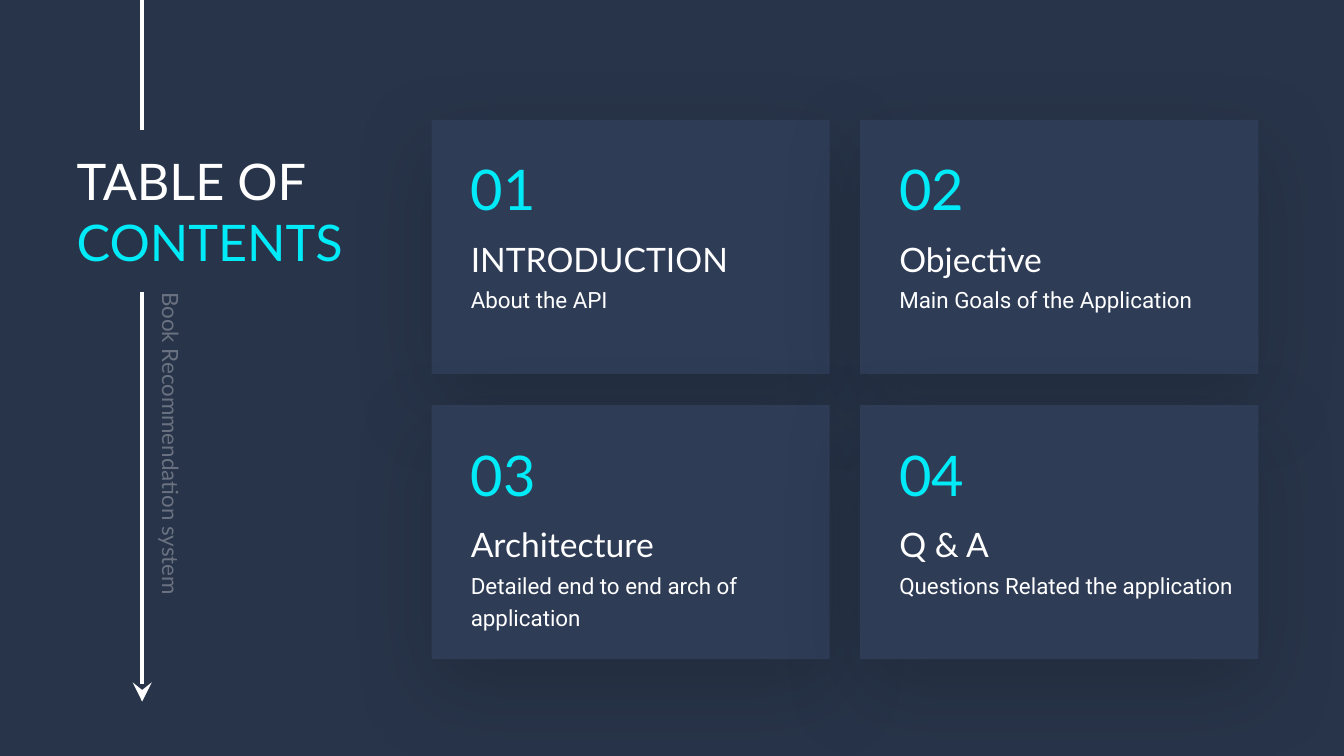
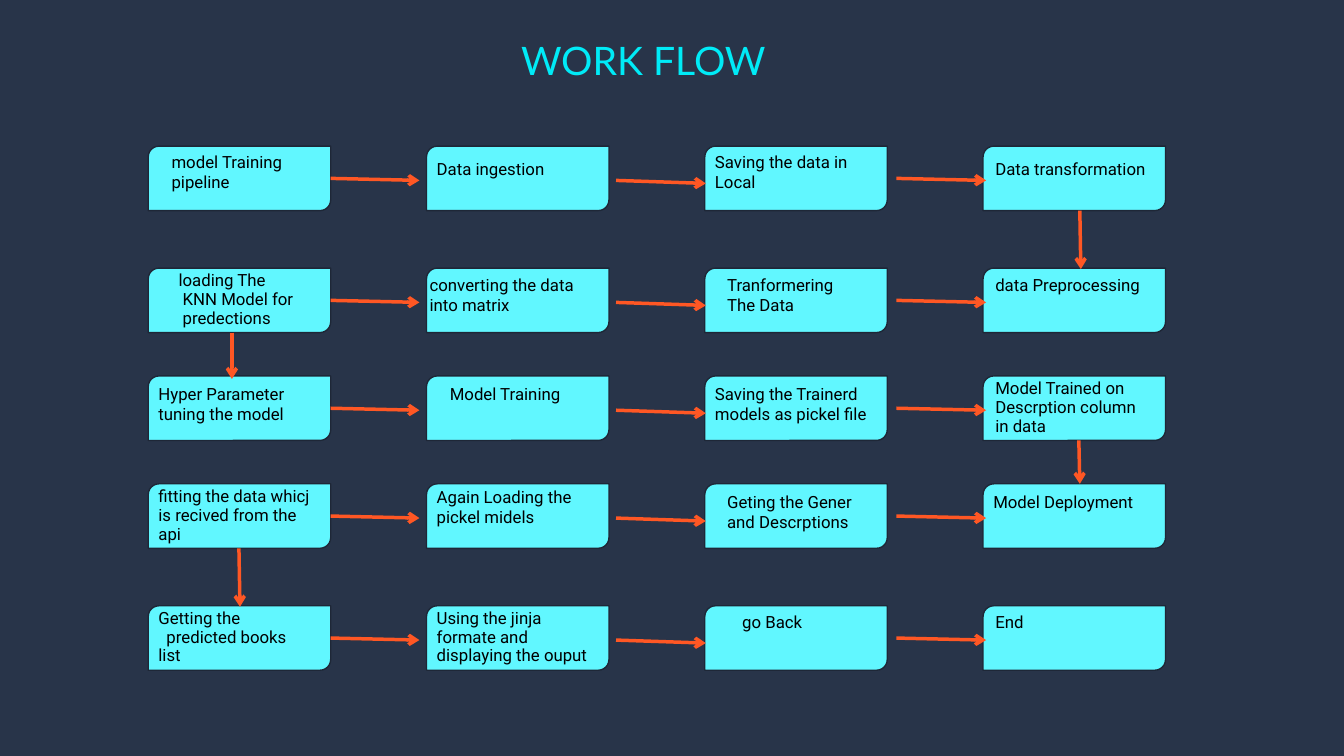
from dataclasses import dataclass

from lxml import etree
from pptx import Presentation
from pptx.dml import color
from pptx.enum import shapes, text
from pptx.oxml import ns
from pptx.util import Inches, Pt

RGB = color.RGBColor.from_string


@dataclass(frozen=True)
class Theme:
    background: str = "283449"
    card: str = "2E3C56"
    shadow: str = "141A24"
    white: str = "FFFFFF"
    accent: str = "00EBF7"
    step: str = "61F7FF"
    outline: str = "1E2737"
    arrow: str = "FF5724"
    ink: str = "000000"
    heading_font: str = "Lato"
    body_font: str = "Roboto"
    title_size: int = 36
    number_size: int = 40
    flow_title_size: int = 28
    card_title_size: int = 24
    body_size: int = 16
    step_size: int = 12


T = Theme()
CARDS = [
    ("INTRODUCTION", "About the API"),
    ("Objective", "Main Goals of the Application"),
    ("Architecture", "Detailed end to end arch of application"),
    ("Q & A", "Questions Related the application"),
]
STEP_W, STEP_H, STEP_PITCH = 1.81, 0.64, 2.76
STEP_CORNER = 0.03
FULL_STEP_LINES, FULL_STEP_SPACING = 3, 0.94
FLOW_LEFT = 1.47
FLOW_ROWS = [
    (1.45, [
        (0.23, 0.05, ["model Training", "pipeline"]),
        (0.1, 0.12, ["Data ingestion"]),
        (0.1, 0.05, ["Saving the data in", "Local"]),
        (0.12, 0.12, ["Data transformation"]),
    ]),
    (2.66, [
        (0.3, 0.03, ["loading The", ("KNN Model for", 0.04), ("predections", 0.04)]),
        (0.03, 0.06, ["converting the data", "into matrix"]),
        (0.22, 0.06, ["Tranformering", "The Data"]),
        (0.12, 0.06, ["data Preprocessing"]),
    ]),
    (3.73, [
        (0.1, 0.08, ["Hyper Parameter", "tuning the model"]),
        (0.23, 0.08, ["Model Training"]),
        (0.1, 0.08, ["Saving the Trainerd", "models as pickel file"]),
        (0.12, 0.03, ["Model Trained on", "Descrption column", "in data"]),
    ]),
    (4.8, [
        (0.1, 0.03, ["fitting the data whicj", "is recived from the", "api"]),
        (0.1, 0.02, ["Again Loading the", "pickel midels"]),
        (0.22, 0.08, ["Geting the Gener", "and Descrptions"]),
        (0.1, 0.08, ["Model Deployment"]),
    ]),
    (6.01, [
        (0.1, 0.03, ["Getting the", ("predicted books", 0.08), "list"]),
        (0.1, 0.03, ["Using the jinja", "formate and", "displaying the ouput"]),
        (0.37, 0.06, ["go Back"]),
        (0.12, 0.06, ["End"]),
    ]),
]
ROW_ARROWS = [
    (1.81, 0.32, 2.69, 0.34),
    (4.64, 0.34, 5.53, 0.37),
    (7.42, 0.32, 8.31, 0.34),
]
DOWN_ARROWS = [
    (10.71, 2.09, 10.72, 2.67),
    (2.3, 3.3, 2.3, 3.76),
    (10.7, 4.37, 10.71, 4.8),
    (2.37, 5.44, 2.38, 6.02),
]


def box(*lengths):
    return [Inches(v) for v in lengths]


def sub(parent, tag, **attrs):
    return etree.SubElement(parent, ns.qn(tag), {k: str(v) for k, v in attrs.items()})


def frame(sp, margins=(0, 0, 0, 0), anchor=text.MSO_ANCHOR.TOP):
    tf = sp.text_frame
    tf.word_wrap = True
    tf.auto_size = text.MSO_AUTO_SIZE.NONE
    tf.vertical_anchor = anchor
    tf.margin_left, tf.margin_top, tf.margin_right, tf.margin_bottom = box(*margins)
    return tf


def add_run(p, words, size, rgb, font):
    r = p.add_run()
    r.text = words
    r.font.size = Pt(size)
    r.font.name = font
    r.font.color.rgb = RGB(rgb)
    return r


def add_label(container, at, words, size, rgb, font,
              anchor=text.MSO_ANCHOR.TOP, spacing=1.0):
    sp = container.add_textbox(*box(*at))
    p = frame(sp, anchor=anchor).paragraphs[0]
    p.line_spacing = spacing
    return sp, add_run(p, words, size, rgb, font)


def place_title(slide, at, runs, size, margin, align):
    sp = slide.shapes.title
    sp.left, sp.top, sp.width, sp.height = box(*at)
    p = frame(sp, (margin,) * 4).paragraphs[0]
    p.alignment = align
    for words, rgb in runs:
        add_run(p, words, size, rgb, T.heading_font)


def add_line(slide, ends, rgb, width, head=None, head_size="med"):
    c = slide.shapes.add_connector(shapes.MSO_CONNECTOR.STRAIGHT, *box(*ends))
    c.line.color.rgb = RGB(rgb)
    c.line.width = Pt(width)
    sp_pr = c._element.spPr
    if head:
        sub(sp_pr.find(ns.qn("a:ln")), "a:tailEnd", type=head,
            w=head_size, len=head_size)
    sub(sp_pr, "a:effectLst")


def add_panel(container, kind, at, fill):
    sp = container.add_shape(kind, *box(*at))
    sp.shadow.inherit = False
    sp.fill.solid()
    sp.fill.fore_color.rgb = RGB(fill)
    sp.line.fill.background()
    return sp


def add_glow(sp):
    effects = sp._element.spPr.find(ns.qn("a:effectLst"))
    shadow = sub(effects, "a:outerShdw", blurRad=Pt(60), dist=Pt(20),
                 dir=90 * 60000, algn="t", rotWithShape=0)
    sub(sub(shadow, "a:srgbClr", val=T.shadow), "a:alpha", val=30000)


def contents_card(slide, x, y, w, h, number, title, detail):
    card = slide.shapes.add_group_shape().shapes
    add_glow(add_panel(card, shapes.MSO_SHAPE.RECTANGLE, (x, y, w, h), T.card))
    left = x + 0.39
    add_label(card, (left, y + 1.6, 3.5, 0.65), detail, T.body_size, T.white,
              T.body_font, spacing=1.2)
    add_label(card, (left, y + 1.18, 3.5, 0.4), title, T.card_title_size, T.white,
              T.heading_font)
    add_label(card, (left, y + 0.38, 1.13, 0.6), f"{number:02}", T.number_size,
              T.accent, T.heading_font, anchor=text.MSO_ANCHOR.MIDDLE)


def side_rail(slide, x, gap_top, gap_bottom, bottom):
    add_line(slide, (x, 0, x, gap_top), T.white, 2.75)
    add_line(slide, (x, gap_bottom, x, bottom), T.white, 2.75, "stealth", "lg")
    sp, r = add_label(slide.shapes, (x - 1.95, 5, 4.47, 0.27),
                      "Book Recommendation system", T.body_size, T.white,
                      T.heading_font)
    sp.rotation = 90
    clr = r._r.rPr.find(ns.qn("a:solidFill")).find(ns.qn("a:srgbClr"))
    sub(clr, "a:alpha", val=31000)


def contents_slide(prs):
    slide = prs.slides.add_slide(prs.slide_layouts[5])
    place_title(slide, (0.56, 1.29, 4.05, 1.61),
                [("TABLE OF ", T.white), ("CONTENTS", T.accent)],
                T.title_size, 0.2, text.PP_ALIGN.LEFT)
    side_rail(slide, 1.41, 1.29, 2.9, 6.96)
    for i, (title, detail) in enumerate(CARDS):
        row, col = divmod(i, 2)
        contents_card(slide, 4.28 + col * 4.25, 1.19 + row * 2.83, 3.95, 2.52,
                      i + 1, title, detail)


def flow_step(slide, x, y, dx, dy, lines):
    sp = add_panel(slide.shapes, shapes.MSO_SHAPE.ROUND_2_DIAG_RECTANGLE,
                   (x, y, STEP_W, STEP_H), T.step)
    sp.line.color.rgb = RGB(T.outline)
    sp.line.width = Pt(1)
    tf = frame(sp, (dx - STEP_CORNER, max(dy - STEP_CORNER, 0), 0, 0))
    spacing = FULL_STEP_SPACING if len(lines) == FULL_STEP_LINES else 1.0
    for i, line in enumerate(lines):
        words, indent = (line, 0) if isinstance(line, str) else line
        p = tf.add_paragraph() if i else tf.paragraphs[0]
        p.alignment = text.PP_ALIGN.LEFT
        p.line_spacing = spacing
        p._p.get_or_add_pPr().set("marL", str(Inches(indent)))
        add_run(p, words, T.step_size, T.ink, T.body_font)


def flow_row(slide, x, y, steps):
    for col, (dx, dy, lines) in enumerate(steps):
        flow_step(slide, x + col * STEP_PITCH, y, dx, dy, lines)
    for x1, y1, x2, y2 in ROW_ARROWS:
        add_line(slide, (x + x1, y + y1, x + x2, y + y2), T.arrow, 2.5, "arrow")


def workflow_slide(prs):
    slide = prs.slides.add_slide(prs.slide_layouts[5])
    place_title(slide, (1.31, 0.36, 10.14, 0.59), [("WORK FLOW", T.accent)],
                T.flow_title_size, 0, text.PP_ALIGN.CENTER)
    for top, steps in FLOW_ROWS:
        flow_row(slide, FLOW_LEFT, top, steps)
    for ends in DOWN_ARROWS:
        add_line(slide, ends, T.arrow, 2.5, "arrow")


def main():
    prs = Presentation()
    prs.slide_width, prs.slide_height = box(13.33, 7.5)
    fill = prs.slide_master.background.fill
    fill.solid()
    fill.fore_color.rgb = RGB(T.background)
    contents_slide(prs)
    workflow_slide(prs)
    prs.save("out.pptx")


if __name__ == "__main__":
    main()
